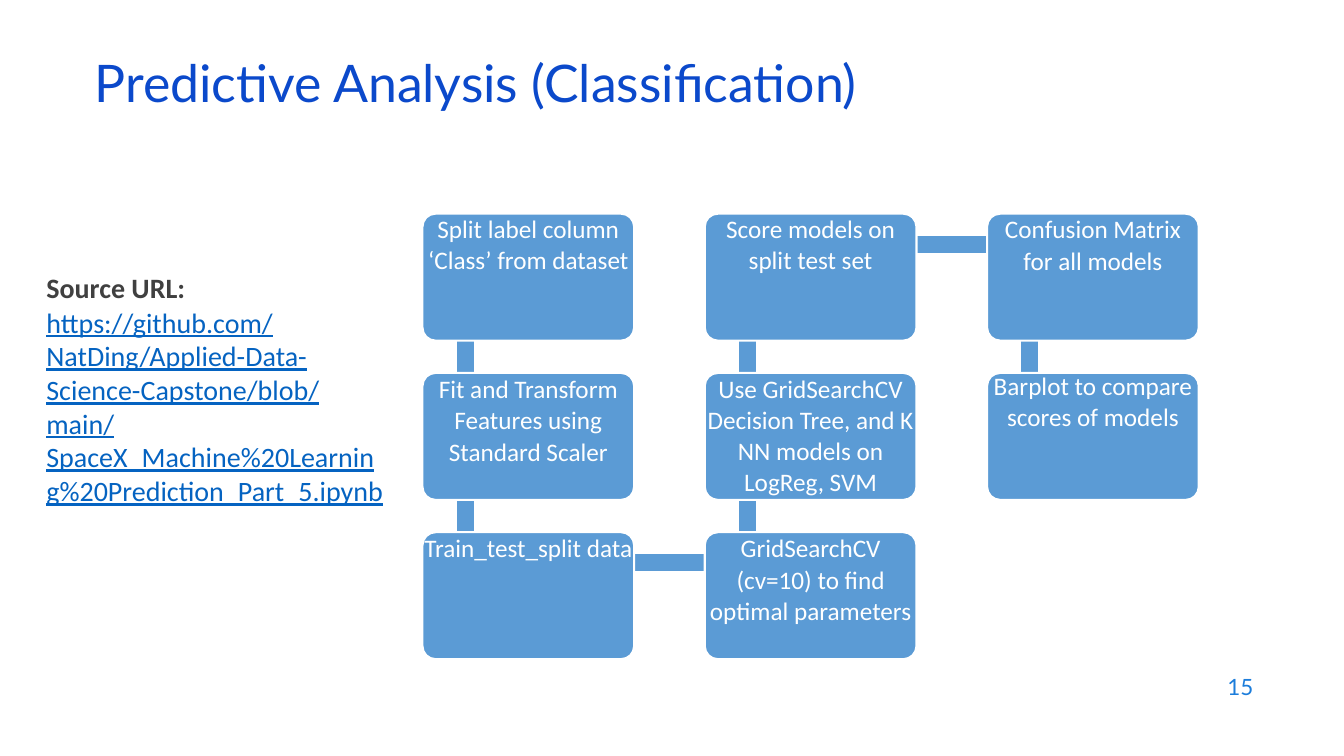
from dataclasses import dataclass
from math import cos, pi, sin
from typing import Any, Optional

from pptx import Presentation
from pptx.dml.color import RGBColor
from pptx.enum.shapes import MSO_SHAPE
from pptx.enum.text import MSO_ANCHOR, PP_ALIGN
from pptx.util import Inches, Pt

STEP_BLUE, WHITE = "5B9BD5", "FFFFFF"
GRID_LEFT, GRID_TOP, COLUMN_PITCH, ROW_PITCH = 4.19, 2.12, 2.8, 1.58
STEP_WIDTH, STEP_HEIGHT, CORNER = 2.1, 1.26, 0.13
BAR = 0.19
NO_BREAK_SPACE = chr(160)


@dataclass
class Step:
    """One box of the workflow, placed by column and row."""

    column: int
    row: int
    lines: list[str]
    gap: float = 0
    line_height: Optional[float] = None

    @property
    def left(self) -> float:
        """Left edge in inches."""
        return GRID_LEFT + self.column * COLUMN_PITCH

    @property
    def top(self) -> float:
        """Top edge in inches."""
        return GRID_TOP + self.row * ROW_PITCH


STEPS = [
    Step(0, 0, ["Split label column", "‘Class’ from dataset"]),
    Step(0, 1, ["Fit and Transform", "Features using", "Standard Scaler"], 1.1),
    Step(0, 2, ["Train_test_split data"]),
    Step(1, 2, ["GridSearchCV", "(cv=10) to find", "optimal parameters"], 1),
    Step(1, 1, ["Use GridSearchCV", "Decision Tree, and KNN models on", "LogReg, SVM"], 1.1),
    Step(1, 0, ["Score models on", "split test set"]),
    Step(2, 0, ["Confusion Matrix", "for all models"], 1.1),
    Step(2, 1, ["Barplot to compare", "scores of models"], 2, 20),
]


def colour(code: str) -> RGBColor:
    """Turn a hex string into a colour."""
    return RGBColor.from_string(code)


def style_font(font: Any, name: str, size: float, code: str) -> None:
    """Set typeface, size and colour."""
    font.name, font.size = name, Pt(size)
    font.color.rgb = colour(code)


def style_shape(shape: Any) -> None:
    """Give a shape the blue fill and white edge of the workflow."""
    shape.shadow.inherit = False
    shape.fill.solid()
    shape.fill.fore_color.rgb = colour(STEP_BLUE)
    shape.line.color.rgb = colour(WHITE)
    shape.line.width = Pt(1.5)


def clear_margins(frame: Any) -> None:
    """Wrap the text and remove all its insets."""
    frame.word_wrap = True
    frame.margin_left = frame.margin_right = frame.margin_top = frame.margin_bottom = 0


def draw_bar(slide: Any, start: Step, end: Step) -> None:
    """Draw the bar that links two neighbouring steps."""
    if start.column == end.column:
        box = (start.left + 0.33, min(start.top, end.top) + 0.32, BAR, ROW_PITCH - 0.01)
    else:
        box = (start.left + 0.43, start.top + 0.21, COLUMN_PITCH - 0.01, BAR)
    style_shape(slide.shapes.add_shape(MSO_SHAPE.RECTANGLE, *map(Inches, box)))


def draw_step(slide: Any, step: Step) -> None:
    """Draw a rounded step whose text uses its full width."""
    near_x, far_x = step.left + CORNER, step.left + STEP_WIDTH - CORNER
    near_y, far_y = step.top + CORNER, step.top + STEP_HEIGHT - CORNER
    centres = [(far_x, far_y), (near_x, far_y), (near_x, near_y), (far_x, near_y)]
    outline = [
        (Inches(x + CORNER * cos(angle)), Inches(y + CORNER * sin(angle)))
        for quarter, (x, y) in enumerate(centres)
        for angle in ((quarter + part / 4) * pi / 2 for part in range(5))
    ]
    builder = slide.shapes.build_freeform(*outline[0])
    builder.add_line_segments(outline[1:], close=True)
    box = builder.convert_to_shape()
    style_shape(box)
    frame = box.text_frame
    clear_margins(frame)
    frame.vertical_anchor = MSO_ANCHOR.TOP
    for index, line in enumerate(step.lines):
        paragraph = frame.add_paragraph() if index else frame.paragraphs[0]
        paragraph.text = line.replace(" ", NO_BREAK_SPACE)
        paragraph.alignment = PP_ALIGN.CENTER
        if index:
            paragraph.space_before = Pt(step.gap)
        if step.line_height:
            paragraph.line_spacing = Pt(step.line_height)
        style_font(paragraph.font, "Calibri", 18, WHITE)


def format_title(slide: Any) -> None:
    """Place and format the title placeholder."""
    title = slide.shapes.title
    title.left, title.top, title.width, title.height = map(Inches, (0.84, 0.59, 11.5, 0.6))
    title.text_frame.text = "Predictive Analysis (Classification)"
    title.text_frame.vertical_anchor = MSO_ANCHOR.MIDDLE
    heading = title.text_frame.paragraphs[0]
    heading.alignment, heading.line_spacing = PP_ALIGN.LEFT, 0.7
    style_font(heading.font, "Lato", 37, "0B49CB")


def add_source_link(slide: Any) -> None:
    """Add the notebook address beside the workflow."""
    frame = slide.shapes.add_textbox(*map(Inches, (0.46, 2.68, 3.35, 2.05))).text_frame
    clear_margins(frame)
    label = frame.paragraphs[0]
    label.text = "Source URL:"
    style_font(label.font, "Calibri", 20, "404040")
    label.font.bold = True
    address = frame.add_paragraph()
    address.text = (
        "https://github.com/NatDing/Applied-Data-Science-Capstone/blob/main/"
        "SpaceX_Machine%20Learning%20Prediction_Part_5.ipynb"
    )
    address.space_before = Pt(1.1)
    style_font(address.font, "Calibri", 20, "0563C1")
    address.font.underline = True


def add_page_number(slide: Any) -> None:
    """Add the page number at the lower right."""
    frame = slide.shapes.add_textbox(*map(Inches, (9.53, 6.59, 3, 0.44))).text_frame
    frame.word_wrap = True
    frame.vertical_anchor = MSO_ANCHOR.MIDDLE
    number = frame.paragraphs[0]
    number.text = "15"
    number.alignment = PP_ALIGN.RIGHT
    style_font(number.font, "Lato", 16, "1C7DDB")


def main() -> None:
    """Build and save the slide."""
    deck = Presentation()
    deck.slide_width, deck.slide_height = Inches(13.33), Inches(7.5)
    slide = deck.slides.add_slide(deck.slide_layouts[5])
    format_title(slide)
    for start, end in zip(STEPS, STEPS[1:]):
        draw_bar(slide, start, end)
    for step in STEPS:
        draw_step(slide, step)
    add_source_link(slide)
    add_page_number(slide)
    deck.save("out.pptx")


if __name__ == "__main__":
    main()
